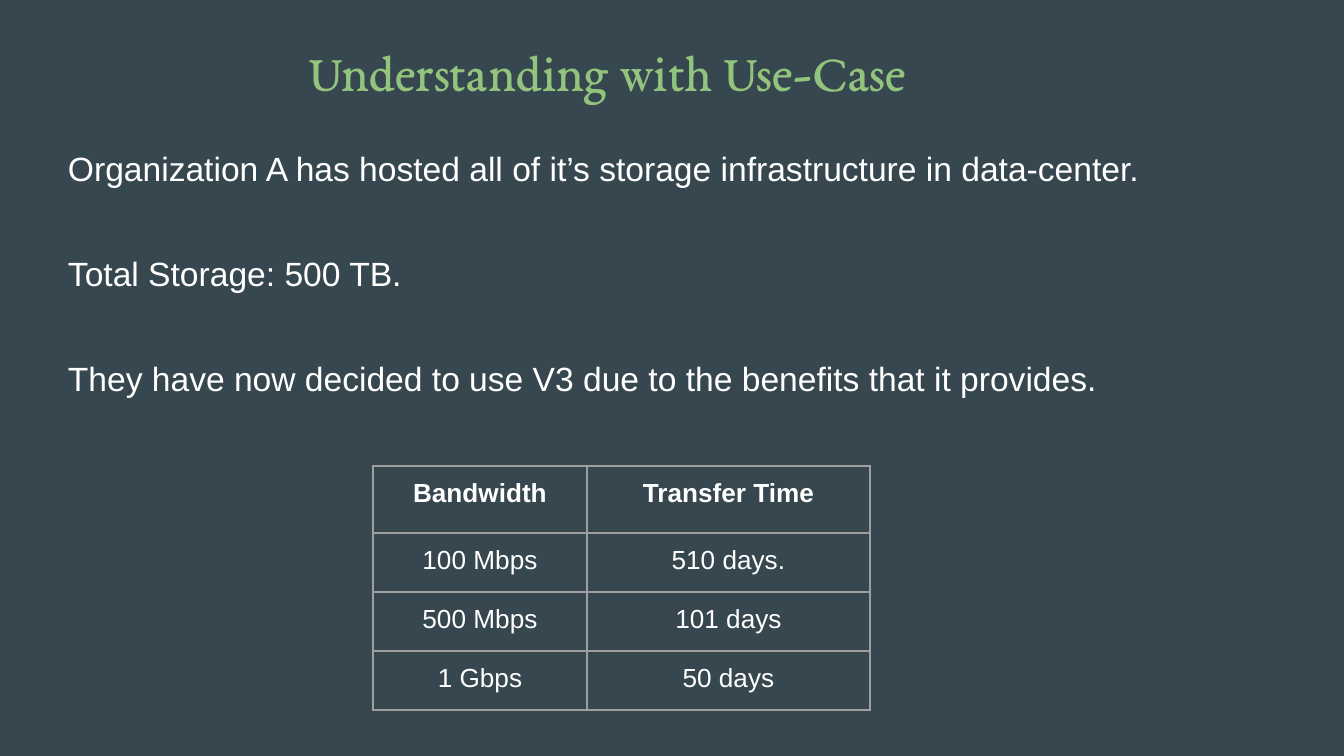
"""Build the storage transfer use-case slide."""
from pptx import Presentation
from pptx import util as u
from pptx.dml.color import RGBColor
from pptx.enum import text
from pptx.oxml import parse_xml
from pptx.oxml.ns import nsdecls

SLATE = RGBColor(0x37, 0x47, 0x4F)
GREEN = RGBColor(0x93, 0xC4, 0x7D)
WHITE = RGBColor(0xFF, 0xFF, 0xFF)
GREY = RGBColor(0x9E, 0x9E, 0x9E)
PAD = 13

LINES = [
    "Organization A has hosted all of it’s storage infrastructure in data-center.",
    "Total Storage: 500 TB.",
    "They have now decided to use V3 due to the benefits that it provides.",
]
ROWS = [
    ("Bandwidth", "Transfer Time"),
    ("100 Mbps", "510 days."),
    ("500 Mbps", "101 days"),
    ("1 Gbps", "50 days"),
]


def px(n):
    return u.Emu(round(n * 914400 / 134.4))


def style(para, size, color, name="Arial", bold=False):
    font = para.font
    font.size, font.name, font.bold = u.Pt(size), name, bold
    font.color.rgb = color


def place(box, left, top, width, height, inset=PAD):
    box.left, box.top, box.width, box.height = map(px, (left, top, width, height))
    frame = box.text_frame
    frame.margin_left = frame.margin_right = frame.margin_bottom = px(PAD)
    frame.margin_top = px(inset)
    frame.vertical_anchor = text.MSO_ANCHOR.TOP
    frame.auto_size = text.MSO_AUTO_SIZE.NONE
    frame.word_wrap = True
    return frame


def indent(para, left):
    props = para._p.get_or_add_pPr()
    props.set("marL", str(px(left)))
    props.set("indent", "0")
    props.append(parse_xml(f"<a:buNone {nsdecls('a')}/>"))


def add_title(slide):
    frame = place(slide.shapes.title, 47, 26, 1189, 106)
    frame.text = "Understanding with Use-Case"
    para = frame.paragraphs[0]
    indent(para, 249)
    para.alignment = text.PP_ALIGN.LEFT
    style(para, 28, GREEN, "EB Garamond")


def add_body(slide):
    frame = place(slide.placeholders[1], 55, 132, 1211, 300, inset=16)
    frame.text = "\n".join(LINES)
    for i, para in enumerate(frame.paragraphs):
        indent(para, 0)
        para.space_before = u.Pt(34.5 if i else 0)
        style(para, 18, WHITE)


def add_edges(cell):
    props = cell._tc.get_or_add_tcPr()
    for side in "LRTB":
        props.append(parse_xml(
            f'<a:ln{side} {nsdecls("a")} w="{u.Pt(0.75)}"><a:solidFill>'
            f'<a:srgbClr val="{GREY}"/></a:solidFill></a:ln{side}>'))


def fill_cell(cell, words, bold):
    cell.text = words
    cell.margin_left = cell.margin_right = px(PAD)
    cell.margin_top = cell.margin_bottom = px(PAD)
    add_edges(cell)
    cell.fill.background()
    para = cell.text_frame.paragraphs[0]
    para.alignment = text.PP_ALIGN.CENTER
    style(para, 14, WHITE, bold=bold)


def add_grid(slide):
    widths, heights = (214, 283), (67, 59, 59, 59)
    table = slide.shapes.add_table(
        len(ROWS), len(widths), px(373), px(466),
        px(sum(widths)), px(sum(heights))).table
    table.horz_banding = False
    for col, width in zip(table.columns, widths):
        col.width = px(width)
    for r, (row, height) in enumerate(zip(ROWS, heights)):
        table.rows[r].height = px(height)
        for c, words in enumerate(row):
            fill_cell(table.cell(r, c), words, bold=r == 0)


def main():
    deck = Presentation()
    deck.slide_width, deck.slide_height = px(1344), px(756)
    slide = deck.slides.add_slide(deck.slide_layouts[1])
    back = slide.background.fill
    back.solid()
    back.fore_color.rgb = SLATE
    add_title(slide)
    add_body(slide)
    add_grid(slide)
    deck.save("out.pptx")


if __name__ == "__main__":
    main()
